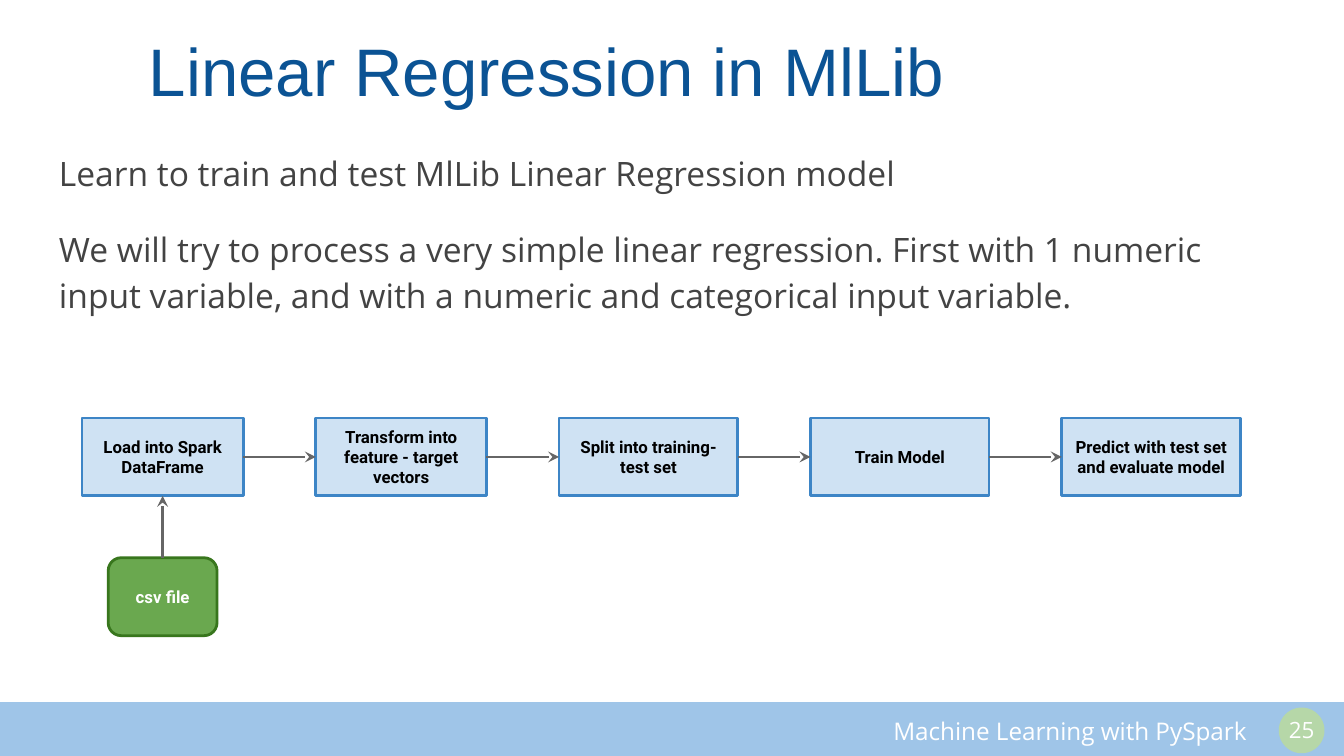
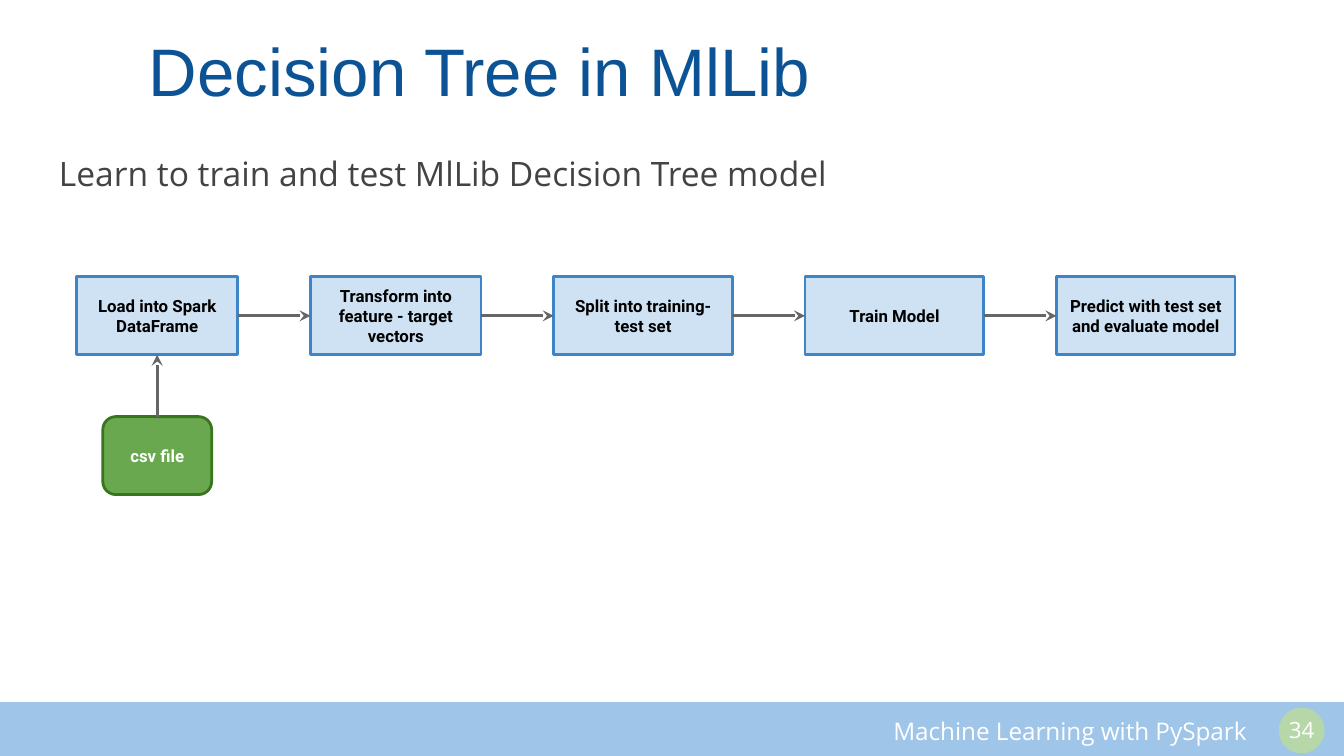
from dataclasses import dataclass

from lxml.etree import SubElement
from pptx import Presentation
from pptx.dml.color import RGBColor
from pptx.enum.shapes import MSO_CONNECTOR, MSO_SHAPE
from pptx.enum.text import MSO_ANCHOR, PP_ALIGN
from pptx.oxml.ns import qn
from pptx.shapes.autoshape import Shape
from pptx.slide import Slide
from pptx.util import Inches, Pt

COLORS = {
    "title": "0B5394",
    "body": "434343",
    "band": "9FC5E8",
    "badge": "B6D7A8",
    "step": "CFE2F3",
    "edge": "3D85C6",
    "file": "6AA84F",
    "rim": "38761D",
    "arrow": "666666",
    "black": "000000",
    "white": "FFFFFF",
}


@dataclass(frozen=True)
class Box:
    left: float
    top: float
    width: float
    height: float


@dataclass(frozen=True)
class Style:
    font: str
    size: int
    color: str
    align: PP_ALIGN = PP_ALIGN.LEFT
    anchor: MSO_ANCHOR = MSO_ANCHOR.MIDDLE
    bold: bool = False
    lines: float = 1.0
    before: int = 0


@dataclass(frozen=True)
class Step:
    text: str
    width: float


@dataclass(frozen=True)
class Page:
    title: str
    body: tuple[str, ...]
    number: int
    left: float
    top: float


TITLE = Style("Arial", 36, "title")
BODY = Style("Open Sans", 18, "body", anchor=MSO_ANCHOR.TOP, lines=1.15, before=16)
FOOTER = Style("Open Sans", 13, "white", PP_ALIGN.RIGHT)
NUMBER = Style("Open Sans", 12, "white", PP_ALIGN.CENTER)
LABEL = Style("Roboto", 9, "black", PP_ALIGN.CENTER, bold=True)
FILE = Style("Roboto", 9, "white", PP_ALIGN.CENTER, bold=True)

STEPS = (
    Step("Load into Spark DataFrame", 1.2),
    Step("Transform into feature - target vectors", 1.27),
    Step("Split into training-test set", 1.33),
    Step("Train Model", 1.33),
    Step("Predict with test set and evaluate model", 1.33),
)
GAP = 0.54
HEIGHT = 0.58
FILE_WIDTH = 0.81
FILE_DROP = 1.04

PAGES = (
    Page(
        "Linear Regression in MlLib",
        (
            "Learn to train and test MlLib Linear Regression model",
            "We will try to process a very simple linear regression. First with 1 numeric "
            "input variable, and with a numeric and categorical input variable.",
        ),
        25, 0.61, 3.11,
    ),
    Page(
        "Decision Tree in MlLib",
        ("Learn to train and test MlLib Decision Tree model",),
        34, 0.57, 2.06,
    ),
)


def tint(name: str) -> RGBColor:
    return RGBColor.from_string(COLORS[name])


def place(box: Box) -> tuple[Inches, ...]:
    return tuple(Inches(n) for n in (box.left, box.top, box.width, box.height))


def write(shape: Shape, texts: tuple[str, ...], style: Style) -> None:
    frame = shape.text_frame
    frame.word_wrap = True
    frame.vertical_anchor = style.anchor
    frame.margin_left = frame.margin_right = Inches(0.1)
    frame.margin_top = frame.margin_bottom = Inches(0.1)
    for i, text in enumerate(texts):
        para = frame.add_paragraph() if i else frame.paragraphs[0]
        para.text = text
        para.alignment = style.align
        para.line_spacing = style.lines
        para.space_before = Pt(style.before if i else 0)
        para.font.name = style.font
        para.font.size = Pt(style.size)
        para.font.bold = style.bold
        para.font.color.rgb = tint(style.color)


def add_text(slide: Slide, box: Box, style: Style, *texts: str) -> None:
    write(slide.shapes.add_textbox(*place(box)), texts, style)


def add_block(slide: Slide, kind: MSO_SHAPE, box: Box, fill: str, edge: str,
              weight: float) -> Shape:
    shape = slide.shapes.add_shape(kind, *place(box))
    shape.shadow.inherit = False
    shape.fill.solid()
    shape.fill.fore_color.rgb = tint(fill)
    shape.line.color.rgb = tint(edge)
    shape.line.width = Pt(weight)
    return shape


def add_arrow(slide: Slide, start: Shape, start_side: int, end: Shape, end_side: int) -> None:
    link = slide.shapes.add_connector(MSO_CONNECTOR.STRAIGHT, 0, 0, 0, 0)
    link.begin_connect(start, start_side)
    link.end_connect(end, end_side)
    link.line.color.rgb = tint("arrow")
    link.line.width = Pt(1.5)
    props = link.element.spPr
    SubElement(props.find(qn("a:ln")), qn("a:tailEnd"), type="stealth")
    SubElement(props, qn("a:effectLst"))


def add_frame(slide: Slide, page: Page) -> None:
    add_block(slide, MSO_SHAPE.RECTANGLE, Box(0, 5.23, 10, 0.4), "band", "band", 0.75)
    add_text(slide, Box(6.19, 5.3, 3.18, 0.28), FOOTER, "Machine Learning with PySpark")
    add_block(slide, MSO_SHAPE.OVAL, Box(9.52, 5.27, 0.33, 0.33), "badge", "badge", 0.75)
    add_text(slide, Box(1.01, 0.18, 8.65, 0.68), TITLE, page.title)
    add_text(slide, Box(0.34, 0.99, 9.32, 1.54), BODY, *page.body)
    add_text(slide, Box(9.43, 5.26, 0.51, 0.34), NUMBER, str(page.number))


def add_flow(slide: Slide, page: Page) -> None:
    blocks: list[Shape] = []
    left = page.left
    for step in STEPS:
        block = add_block(slide, MSO_SHAPE.RECTANGLE, Box(left, page.top, step.width, HEIGHT),
                          "step", "edge", 1.5)
        write(block, (step.text,), LABEL)
        if blocks:
            add_arrow(slide, blocks[-1], 3, block, 1)
        blocks.append(block)
        left += step.width + GAP

    inset = (STEPS[0].width - FILE_WIDTH) / 2
    source = add_block(slide, MSO_SHAPE.ROUNDED_RECTANGLE,
                       Box(page.left + inset, page.top + FILE_DROP, FILE_WIDTH, HEIGHT),
                       "file", "rim", 1.5)
    write(source, ("csv file",), FILE)
    add_arrow(slide, source, 0, blocks[0], 2)


def main() -> None:
    deck = Presentation()
    deck.slide_width = Inches(10)
    deck.slide_height = Inches(10) * 9 // 16
    for page in PAGES:
        slide = deck.slides.add_slide(deck.slide_layouts[6])
        add_frame(slide, page)
        add_flow(slide, page)
    deck.save("out.pptx")


if __name__ == "__main__":
    main()
